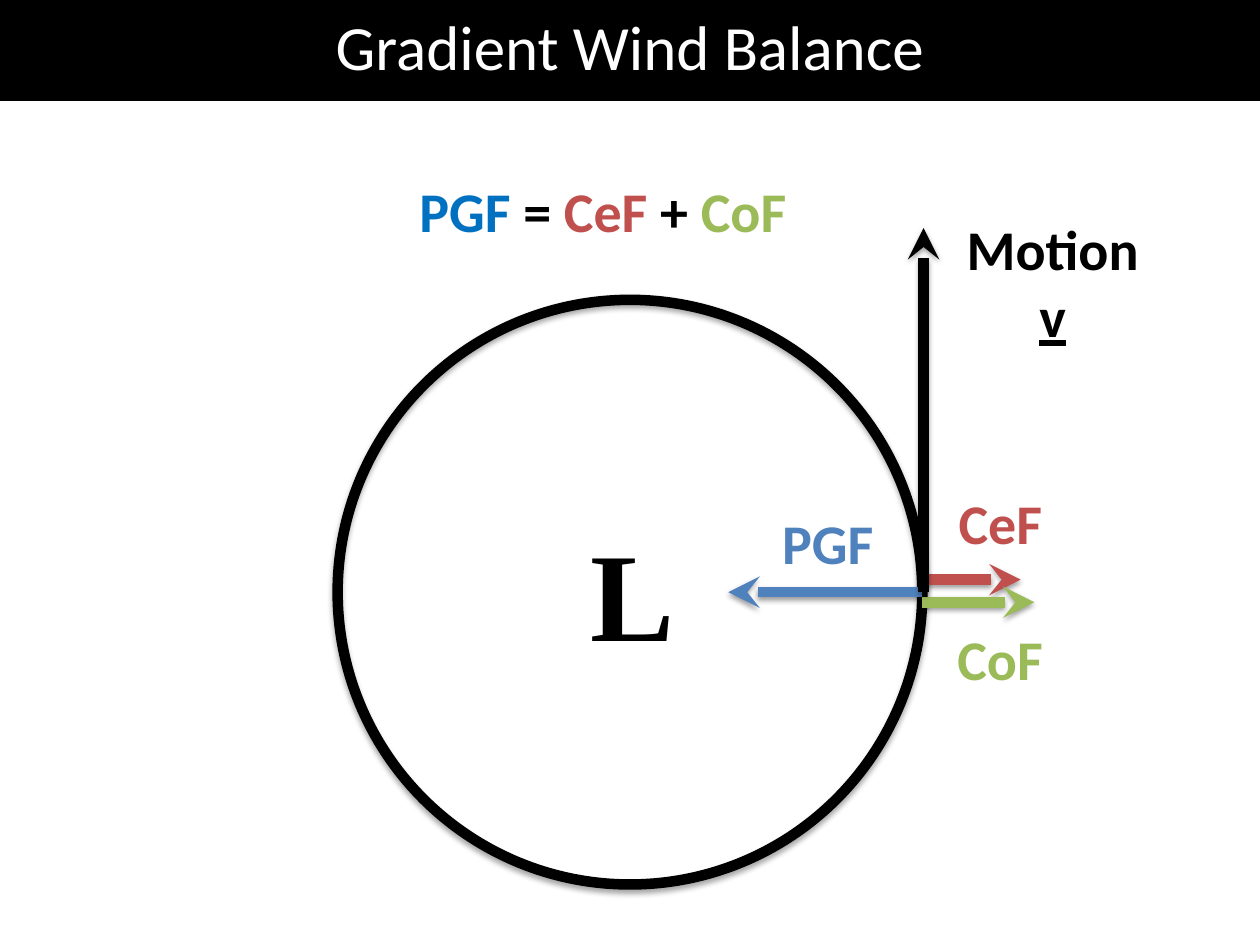
from lxml import etree
from pptx import Presentation
from pptx import util as u
from pptx.dml.color import RGBColor
from pptx.enum import shapes, text
from pptx.oxml import ns

COLUMNS, ROWS = 100, 75
BLACK, WHITE = "000000", "FFFFFF"
BLUE, RED, GREEN = "4F81BD", "C0504D", "9BBB59"
EQUATION_BLUE = "0070C0"


def color(value):
    return RGBColor.from_string(value)


def add_element(parent, tag, **attributes):
    return etree.SubElement(parent, ns.qn(tag), attributes)


class Diagram:
    font = "Calibri"
    label_size = 32
    line_width = 6

    def __init__(self):
        self.presentation = Presentation()
        self.presentation.slide_width = u.Inches(10)
        self.presentation.slide_height = u.Inches(7.5)
        self.slide = self.presentation.slides.add_slide(self.presentation.slide_layouts[5])

    def place(self, *lengths):
        column = self.presentation.slide_width / COLUMNS
        row = self.presentation.slide_height / ROWS
        return [round(length * unit) for length, unit in zip(lengths, (column, row) * 2)]

    def style_paragraph(self, paragraph, size, value=None, bold=True, font=None):
        paragraph.font.name = font or self.font
        paragraph.font.size = u.Pt(size)
        paragraph.font.bold = bold
        if value:
            paragraph.font.color.rgb = color(value)

    def style_line(self, shape, value, distance, opacity):
        shape.line.color.rgb = color(value)
        shape.line.width = u.Pt(self.line_width)
        effects = add_element(shape._element.spPr, "a:effectLst")
        shadow = add_element(effects, "a:outerShdw", blurRad=str(u.Pt(3.1)),
                             dist=str(u.Pt(distance)), dir="5400000", rotWithShape="0")
        black = add_element(shadow, "a:srgbClr", val=BLACK)
        add_element(black, "a:alpha", val=str(opacity * 1000))

    def title(self, wording, height):
        title = self.slide.shapes.title
        title.left, title.top, title.width, title.height = self.place(0, 0, COLUMNS, height)
        title.fill.solid()
        title.fill.fore_color.rgb = color(BLACK)
        frame = title.text_frame
        frame.text = wording
        frame.auto_size = text.MSO_AUTO_SIZE.NONE
        frame.vertical_anchor = text.MSO_ANCHOR.MIDDLE
        paragraph = frame.paragraphs[0]
        paragraph.alignment = text.PP_ALIGN.CENTER
        paragraph.line_spacing = 0.9
        paragraph.space_after = u.Pt(6)
        self.style_paragraph(paragraph, 36, WHITE, bold=False)

    def circle(self, left, top, diameter):
        circle = self.slide.shapes.add_shape(
            shapes.MSO_SHAPE.OVAL, *self.place(left, top, diameter, diameter))
        circle.fill.background()
        self.style_line(circle, BLACK, 1.8, 35)

    def arrow(self, start, tip, value):
        arrow = self.slide.shapes.add_connector(
            shapes.MSO_CONNECTOR.STRAIGHT, *self.place(*start, *tip))
        self.style_line(arrow, value, 1.6, 38)
        add_element(arrow.line._get_or_add_ln(), "a:tailEnd", type="stealth")

    def label(self, box, wording, value=None, size=None, font=None):
        label = self.slide.shapes.add_textbox(*self.place(*box))
        frame = label.text_frame
        frame.word_wrap = True
        frame.auto_size = text.MSO_AUTO_SIZE.SHAPE_TO_FIT_TEXT
        paragraph = frame.paragraphs[0]
        paragraph.add_run().text = wording
        self.style_paragraph(paragraph, size or self.label_size, value, font=font)
        return paragraph

    def equation(self, box, terms):
        (first, value), *others = terms
        paragraph = self.label(box, first)
        paragraph.runs[0].font.color.rgb = color(value)
        for wording, value in others:
            run = paragraph.add_run()
            run.text = wording
            run.font.color.rgb = color(value)


def main():
    diagram = Diagram()
    diagram.title("Gradient Wind Balance", 8)

    left, top, diameter = 26.8, 23.8, 46.4
    edge, middle = left + diameter, top + diameter / 2
    diagram.circle(left, top, diameter)
    diagram.label((45.9, 40.4, 10, 13.1), "L", BLACK, 72, "Times New Roman")

    forces = [
        ("PGF", BLUE, 57.8, middle, (61.1, 39.9)),
        ("CeF", RED, 81, middle - 1, (75.1, 38.3)),
        ("CoF", GREEN, 82.1, middle + 0.8, (75, 49.1)),
    ]
    for _, value, tip, row, _ in forces:
        diagram.arrow((edge, row), (tip, row), value)
    for name, value, _, _, corner in forces:
        diagram.label((*corner, 10.3, 6.4), name, value)

    diagram.arrow((edge + 0.1, middle), (edge + 0.1, 18.1), BLACK)
    motion = diagram.label((75.2, 16.5, 16.7, 11.8), "Motion ", BLACK)
    motion.alignment = text.PP_ALIGN.CENTER
    velocity = motion.add_run()
    velocity.text = "v"
    velocity.font.underline = True

    diagram.equation((32.3, 13.5, 33.3, 6.4), [
        ("PGF", EQUATION_BLUE), (" = ", BLACK), ("CeF", RED), (" + ", BLACK), ("CoF", GREEN)])

    diagram.presentation.save("out.pptx")


if __name__ == "__main__":
    main()
